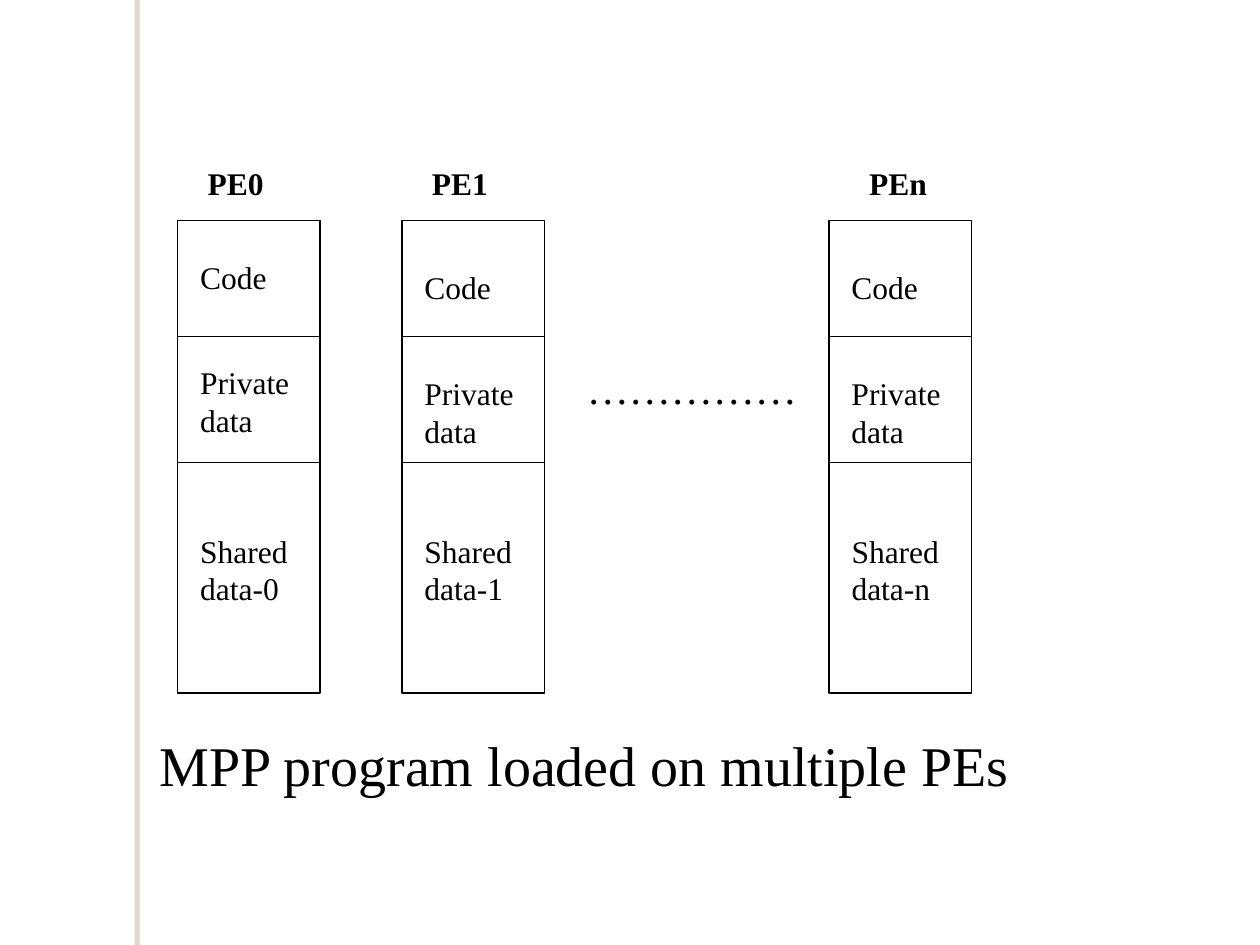
from typing import NamedTuple

from lxml import etree
from pptx import Presentation
from pptx import util as u
from pptx.dml.color import RGBColor
from pptx.enum import shapes, text
from pptx.oxml import parse_xml
from pptx.oxml.ns import nsdecls, qn

BLACK = RGBColor(0x00, 0x00, 0x00)
WHITE = RGBColor(0xFF, 0xFF, 0xFF)
FONT = "Times New Roman"
TOP, WIDE, TALL = 1.75, 1.13, 3.75
CUTS = (2.67, 3.67)
INSET = 0.08
SHADE = (
    f'<a:effectLst {nsdecls("a")}><a:outerShdw dist="38100" dir="10800000">'
    '<a:srgbClr val="7E7747"><a:alpha val="25000"/></a:srgbClr>'
    "</a:outerShdw></a:effectLst>"
)


class Stack(NamedTuple):
    name: str
    left: float
    head: float
    code: float
    data: float


STACKS = (
    Stack("0", 1.41, 1.55, 2.0, 2.83),
    Stack("1", 3.19, 3.33, 2.08, 2.92),
    Stack("n", 6.58, 6.8, 2.08, 2.92),
)


def write(slide, words: str, left: float, top: float, width: float,
          height: float, size: int = 18, bold: bool = False) -> None:
    box = slide.shapes.add_textbox(
        u.Inches(left), u.Inches(top), u.Inches(width), u.Inches(height))
    frame = box.text_frame
    frame.word_wrap = True
    frame.auto_size = text.MSO_AUTO_SIZE.NONE
    run = frame.paragraphs[0].add_run()
    run.text = words
    run.font.name = FONT
    run.font.size = u.Pt(size)
    run.font.bold = bold
    run.font.color.rgb = BLACK


def block(slide, left: float, top: float, width: float, height: float):
    rect = slide.shapes.add_shape(
        shapes.MSO_SHAPE.RECTANGLE, u.Inches(left), u.Inches(top),
        u.Inches(width), u.Inches(height))
    rect.shadow.inherit = False
    return rect


def rule(slide, left: float, top: float) -> None:
    line = slide.shapes.add_connector(
        shapes.MSO_CONNECTOR.STRAIGHT, u.Inches(left), u.Inches(top),
        u.Inches(left + WIDE), u.Inches(top))
    line.line.color.rgb = BLACK
    line.line.width = u.Pt(0.75)
    etree.SubElement(line._element.spPr, qn("a:effectLst"))


def draw(slide, stack: Stack) -> None:
    frame = block(slide, stack.left, TOP, WIDE, TALL)
    frame.fill.background()
    frame.line.color.rgb = BLACK
    frame.line.width = u.Pt(0.75)
    for cut in CUTS:
        rule(slide, stack.left, cut)
    left = stack.left + INSET
    write(slide, "Code", left, stack.code, 0.97, 0.4)
    write(slide, "Private data", left, stack.data, 0.97, 0.7)
    write(slide, f"Shared data-{stack.name}", left, 4.17, 1.05, 0.7)
    write(slide, f"PE{stack.name}", stack.head, 1.25, 0.97, 0.4, bold=True)


def main() -> None:
    deck = Presentation()
    deck.slide_width, deck.slide_height = u.Inches(10), u.Inches(7.5)
    slide = deck.slides.add_slide(deck.slide_layouts[6])
    bar = block(slide, 1.11, 0, 0.08, 7.5)
    bar.fill.solid()
    bar.fill.fore_color.rgb = WHITE
    bar.line.fill.background()
    props = bar._element.spPr
    props.replace(props.find(qn("a:effectLst")), parse_xml(SHADE))
    for stack in STACKS:
        draw(slide, stack)
    write(slide, "……………", 4.56, 2.83, 2.91, 0.5, 24)
    write(slide, "MPP program loaded on multiple PEs", 1.17, 5.75, 7.83, 0.64, 32)
    deck.save("out.pptx")


if __name__ == "__main__":
    main()
